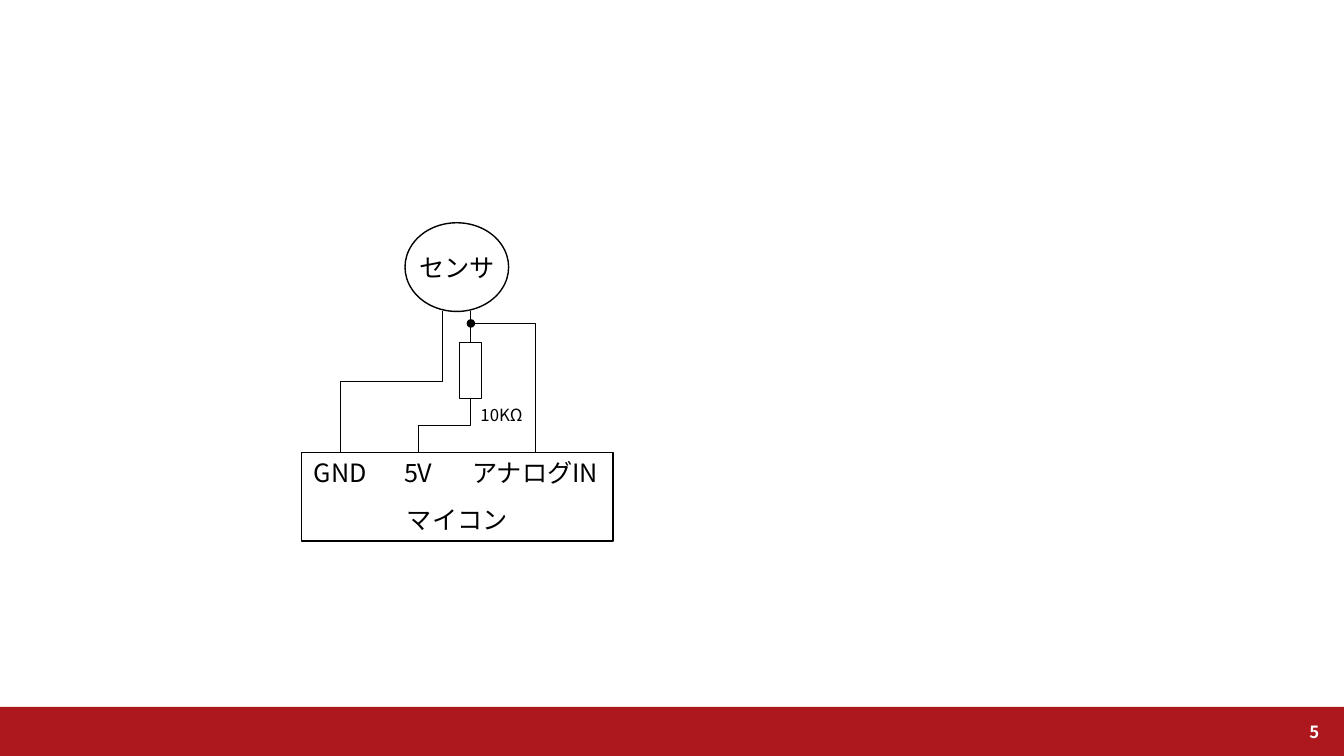
from lxml.etree import SubElement
from pptx import Presentation
from pptx.dml.color import RGBColor
from pptx.enum.shapes import MSO_CONNECTOR, MSO_SHAPE
from pptx.enum.text import MSO_ANCHOR, PP_ALIGN
from pptx.oxml.ns import qn
from pptx.util import Inches, Pt

COLORS = {"ink": "000000", "band": "AC181E", "paper": "FFFFFF"}
FONT = "Noto Sans CJK JP"
WIDTH, HEIGHT = 13.33, 7.5
LEFT, TOP = 2.99, 2.21
COLUMN, ROW = 0.7725, 0.44
THIN, THICK = 0.5, 1
LABEL_ROWS = 0.9


def across(column):
    return Inches(LEFT + column * COLUMN)


def down(row):
    return Inches(TOP + row * ROW)


def cell(column, row, columns, rows):
    return across(column), down(row), Inches(columns * COLUMN), Inches(rows * ROW)


def share(left, top, width, height):
    return (Inches(left * WIDTH), Inches(top * HEIGHT),
            Inches(width * WIDTH), Inches(height * HEIGHT))


def color(name):
    return RGBColor.from_string(COLORS[name])


def add_outline(shapes, kind, place, fill=None, line=None):
    shape = shapes.add_shape(kind, *place)
    shape.shadow.inherit = False
    if fill:
        shape.fill.solid()
        shape.fill.fore_color.rgb = color(fill)
    else:
        shape.fill.background()
    if line:
        shape.line.color.rgb = color("ink")
        shape.line.width = Pt(line)
    else:
        shape.line.fill.background()
    return shape


def add_label(shapes, text, place, size=18, ink="ink", bold=False,
              align=PP_ALIGN.CENTER, anchor=MSO_ANCHOR.TOP):
    box = shapes.add_textbox(*place)
    frame = box.text_frame
    frame.word_wrap = True
    frame.vertical_anchor = anchor
    para = frame.paragraphs[0]
    para.alignment = align
    span = para.add_run()
    span.text = text
    span.font.name = FONT
    span.font.size = Pt(size)
    span.font.bold = bold
    span.font.color.rgb = color(ink)
    SubElement(span.font._element, qn("a:ea"), typeface=FONT)
    return box


def add_wire(shapes, kind, begin_x, begin_y, end_x, end_y):
    wire = shapes.add_connector(kind, begin_x, begin_y, end_x, end_y)
    wire.line.color.rgb = color("ink")
    wire.line.width = Pt(THIN)
    SubElement(wire._element.spPr, qn("a:effectLst"))
    return wire


def add_bent_wire(shapes, begin, end, bend=0.5):
    begin_x, begin_y = across(begin[0]), down(begin[1])
    end_x, end_y = across(end[0]), down(end[1])
    length, spread = end_y - begin_y, abs(end_x - begin_x)
    left = (begin_x + end_x - length) // 2
    top = (begin_y + end_y - spread) // 2
    wire = add_wire(shapes, MSO_CONNECTOR.ELBOW,
                    left, top, left + length, top + spread)
    properties = wire._element.spPr
    transform = properties.find(qn("a:xfrm"))
    goes_right = end_x > begin_x
    transform.set("rot", str((270 if goes_right else 90) * 60000))
    if goes_right:
        transform.set("flipH", "1")
    adjustments = properties.find(qn("a:prstGeom")).get_or_add_avLst()
    SubElement(adjustments, qn("a:gd"), name="adj1",
               fmla=f"val {round(bend * 100000)}")
    return wire


def add_footer(shapes):
    add_outline(shapes, MSO_SHAPE.RECTANGLE, share(0, 0.935, 1, 0.065), fill="band")
    add_label(shapes, "5", share(0.92, 0.935, 0.069, 0.065), size=12, ink="paper",
              bold=True, align=PP_ALIGN.RIGHT, anchor=MSO_ANCHOR.MIDDLE)


def add_sensor(shapes):
    sensor = shapes.add_group_shape().shapes
    add_outline(sensor, MSO_SHAPE.OVAL, cell(1.33, 0, 1.33, 2), line=THICK)
    add_label(sensor, "センサ", cell(1.33, 0.55, 1.33, LABEL_ROWS))


def add_microcontroller(shapes, row):
    chip = shapes.add_group_shape().shapes
    add_outline(chip, MSO_SHAPE.RECTANGLE, cell(0, row, 4, 2), line=THICK)
    add_label(chip, "マイコン", cell(1.2, row + 1.05, 1.6, LABEL_ROWS))
    for text, column, columns in (("GND", 0, 1), ("5V", 1, 1), ("アナログIN", 2, 2)):
        add_label(chip, text, cell(column, row, columns, LABEL_ROWS))


def add_circuit(shapes):
    ground, signal = 1.81, 2.17
    sensor_bottom, junction, chip_top = 1.98, 2.27, 5.18
    resistor_top, resistor_rows = 2.7, 1.25
    add_sensor(shapes)
    add_bent_wire(shapes, (ground, sensor_bottom), (0.5, chip_top))
    resistor = add_outline(shapes, MSO_SHAPE.RECTANGLE,
                           cell(signal - 0.14, resistor_top, 0.28, resistor_rows),
                           line=THIN)
    add_microcontroller(shapes, chip_top)
    lead = add_wire(shapes, MSO_CONNECTOR.STRAIGHT, across(signal),
                    down(sensor_bottom), across(signal), down(resistor_top))
    lead.end_connect(resistor, 0)
    add_bent_wire(shapes, (signal, resistor_top + resistor_rows), (1.5, chip_top))
    add_bent_wire(shapes, (signal, junction), (3, chip_top), bend=0)
    add_label(shapes, "10KΩ", cell(2.1, 3.98, 0.94, 0.69), size=12)
    add_outline(shapes, MSO_SHAPE.OVAL,
                cell(signal - 0.04, junction - 0.08, 0.09, 0.16),
                fill="ink", line=THICK)


def main():
    deck = Presentation()
    deck.slide_width, deck.slide_height = Inches(WIDTH), Inches(HEIGHT)
    page = deck.slides.add_slide(deck.slide_layouts[6])
    add_footer(page.shapes)
    add_circuit(page.shapes)
    deck.save("out.pptx")


if __name__ == "__main__":
    main()
